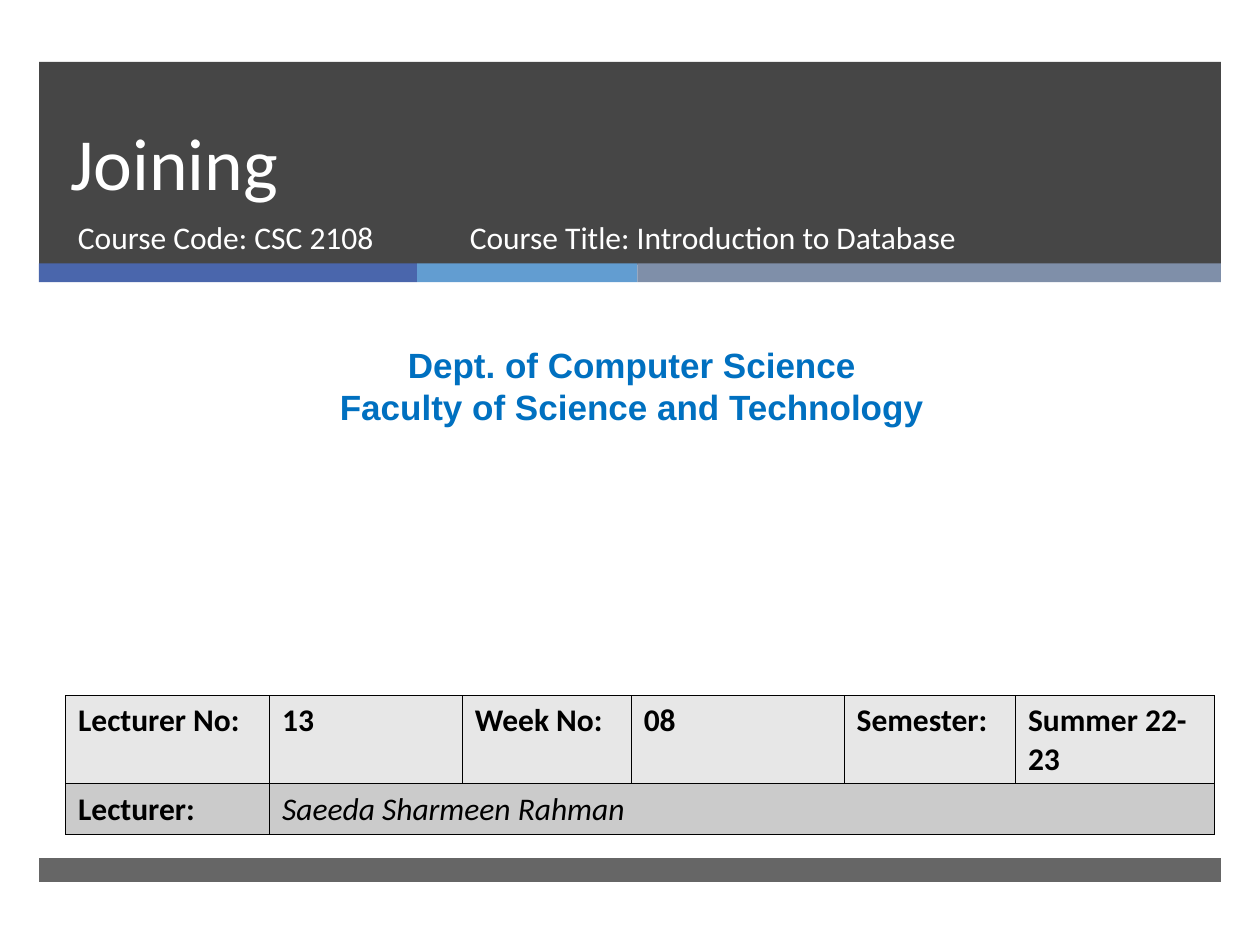
from lxml import etree
from pptx import Presentation
from pptx.dml.color import RGBColor
from pptx.enum.shapes import MSO_SHAPE
from pptx.enum.text import MSO_ANCHOR, PP_ALIGN
from pptx.oxml.ns import qn
from pptx.util import Inches, Pt

RECTANGLE = MSO_SHAPE.RECTANGLE
TOP, BOTTOM = MSO_ANCHOR.TOP, MSO_ANCHOR.BOTTOM
LEFT, CENTER = PP_ALIGN.LEFT, PP_ALIGN.CENTER

WHITE, BLACK, DARK, BLUE = "FFFFFF", "000000", "262626", "0070C0"
BAND_LEFT, BAND_WIDTH = 0.31, 9.38
STRIPE_TOP, STRIPE_HEIGHT = 2.09, 0.15
STRIPES = [(3, "4A66AC"), (1.75, "629DD1"), (4.63, "7F8FA9")]

# top, height, opacity in percent
DARK_BANDS = [(0.49, 1.61, 85), (6.81, 0.19, 70)]

TITLE = "Joining"
COURSE_CODE = "Course Code: CSC 2108"
COURSE_TITLE = "Course Title: Introduction to Database"
DEPARTMENT = ["Dept. of Computer Science", "Faculty of Science and Technology"]

LECTURE_ROWS = [
    ["Lecturer No:", "13", "Week No:", "08", "Semester:", "Summer 22-23"],
    ["Lecturer:", "Saeeda Sharmeen Rahman"],
]
COLUMN_WIDTHS = [1.62, 1.53, 1.34, 1.69, 1.36, 1.58]
ROW_HEIGHTS = [0.7, 0.4]
ROW_FILLS = ["E7E7E7", "CBCBCB"]


def color(value):
    return RGBColor.from_string(value)


def add_band(page, left, top, width, height, fill, opacity=100):
    band = page.shapes.add_shape(RECTANGLE, *map(Inches, (left, top, width, height)))
    band.shadow.inherit = False
    band.line.fill.background()
    band.fill.solid()
    band.fill.fore_color.rgb = color(fill)
    if opacity < 100:
        fill_color = band.fill._xPr.find(qn("a:solidFill"))[0]
        etree.SubElement(fill_color, qn("a:alpha"), val=str(opacity * 1000))


def style(paragraph, size, ink, font="Calibri", bold=False, italic=False):
    paragraph.font.name = font
    paragraph.font.size = Pt(size)
    paragraph.font.color.rgb = color(ink)
    paragraph.font.bold = bold
    paragraph.font.italic = italic


def add_text(page, place, lines, size, ink, font="Calibri", bold=False,
             align=LEFT, anchor=TOP, spacing=None):
    frame = page.shapes.add_textbox(*map(Inches, place)).text_frame
    frame.word_wrap = True
    frame.vertical_anchor = anchor
    frame.text = "\n".join(lines)
    for paragraph in frame.paragraphs:
        paragraph.alignment = align
        paragraph.line_spacing = spacing
        style(paragraph, size, ink, font, bold)


def add_borders(cell, ink, points):
    properties = cell._tc.get_or_add_tcPr()
    for position, side in enumerate(("lnL", "lnR", "lnT", "lnB")):
        line = etree.Element(qn(f"a:{side}"), w=str(Pt(points)))
        fill = etree.SubElement(line, qn("a:solidFill"))
        etree.SubElement(fill, qn("a:srgbClr"), val=ink)
        properties.insert(position, line)


def add_lecture_table(page, left, top):
    table = page.shapes.add_table(
        len(ROW_HEIGHTS), len(COLUMN_WIDTHS), Inches(left), Inches(top),
        Inches(sum(COLUMN_WIDTHS)), Inches(sum(ROW_HEIGHTS))).table
    for column, width in zip(table.columns, COLUMN_WIDTHS):
        column.width = Inches(width)
    for row, height, fill in zip(table.rows, ROW_HEIGHTS, ROW_FILLS):
        row.height = Inches(height)
        for cell in row.cells:
            cell.fill.solid()
            cell.fill.fore_color.rgb = color(fill)
            add_borders(cell, BLACK, 0.45)
    table.cell(1, 1).merge(table.cell(1, len(COLUMN_WIDTHS) - 1))
    for row_index, texts in enumerate(LECTURE_ROWS):
        for column_index, text in enumerate(texts):
            cell = table.cell(row_index, column_index)
            cell.text = text
            is_name = (row_index, column_index) == (1, 1)
            style(cell.text_frame.paragraphs[0], 18, BLACK,
                  bold=not is_name, italic=is_name)


def main():
    deck = Presentation()
    deck.slide_width, deck.slide_height = Inches(10), Inches(7.5)
    page = deck.slides.add_slide(deck.slide_layouts[6])

    for top, height, opacity in DARK_BANDS:
        add_band(page, BAND_LEFT, top, BAND_WIDTH, height, DARK, opacity)
    left = BAND_LEFT
    for width, fill in STRIPES:
        add_band(page, left, STRIPE_TOP, width, STRIPE_HEIGHT, fill)
        left += width

    add_text(page, (0.46, 0.49, 8.54, 1.19), [TITLE], 42, WHITE,
             anchor=BOTTOM, spacing=Pt(46))
    add_text(page, (0.52, 1.68, 3.05, 0.53), [COURSE_CODE], 18, WHITE)
    add_text(page, (3.63, 1.68, 4.55, 0.53), [COURSE_TITLE], 18, WHITE)
    add_text(page, (0.08, 2.68, 9.87, 0.77), DEPARTMENT, 20, BLUE,
             font="Arial", bold=True, align=CENTER)
    add_lecture_table(page, 0.52, 5.52)

    deck.save("out.pptx")


if __name__ == "__main__":
    main()
